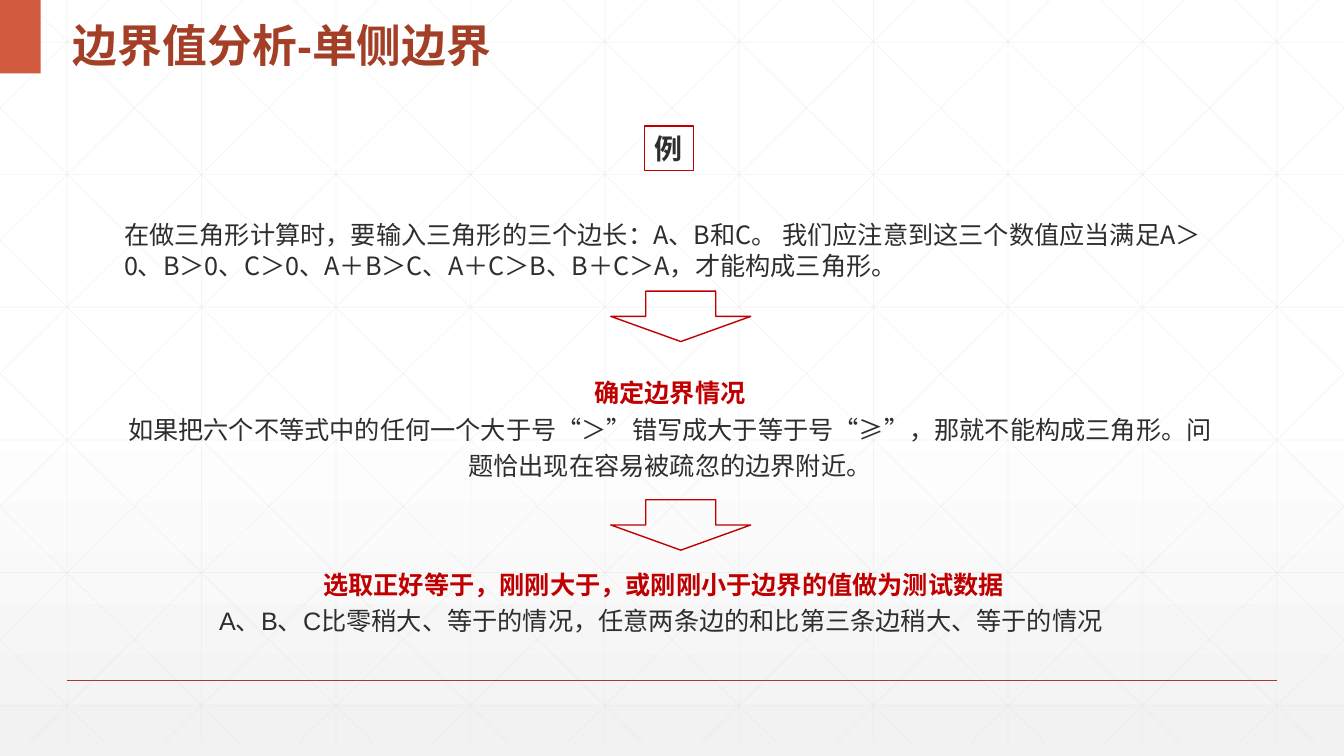
import pptx
import pptx.dml.color
import pptx.enum.shapes
import pptx.enum.text
import pptx.oxml
import pptx.oxml.ns
import pptx.util
from dataclasses import dataclass

Pt = pptx.util.Pt
SHAPES = pptx.enum.shapes.MSO_SHAPE
ANCHOR = pptx.enum.text.MSO_ANCHOR
ALIGN = pptx.enum.text.PP_ALIGN
NS = pptx.oxml.ns.nsdecls("a")
WIDTH, HEIGHT = 960, 540


@dataclass(frozen=True)
class Theme:
    brick: str = "A43F27"
    tab: str = "D15A3E"
    red: str = "C00000"
    ink: str = "2D2E2D"
    grid: str = "D9D9D9"
    paper: str = "FFFFFF"
    paper_end: str = "F2F2F2"
    latin: str = "Arial"
    chinese: str = "Noto Sans CJK SC"
    title: int = 32
    badge: int = 20
    body: int = 18


def rgb(value):
    return pptx.dml.color.RGBColor.from_string(value)


def apply(target, values):
    for name, value in values.items():
        setattr(target, name, value)


class Page:
    def __init__(self, slide, theme):
        self.slide, self.theme = slide, theme

    def background(self):
        fill = self.slide.background.fill
        fill.gradient()
        fill.gradient_angle = 270
        stops = ((0.53, self.theme.paper), (1, self.theme.paper_end))
        for stop, (position, color) in zip(fill.gradient_stops, stops):
            stop.position = position
            stop.color.rgb = rgb(color)

    def line(self, start, end, color, width, opacity=100):
        connector = self.slide.shapes.add_connector(
            pptx.enum.shapes.MSO_CONNECTOR.STRAIGHT,
            *(Pt(value) for value in (*start, *end)))
        connector.line.color.rgb = rgb(color)
        connector.line.width = Pt(width)
        properties = connector._element.spPr
        if opacity < 100:
            tint = properties.find(".//" + pptx.oxml.ns.qn("a:srgbClr"))
            tint.append(pptx.oxml.parse_xml(f'<a:alpha {NS} val="{opacity * 1000}"/>'))
        properties.append(pptx.oxml.parse_xml(f"<a:effectLst {NS}/>"))

    def shape(self, kind, box, fill=None, outline=None, width=1):
        shape = self.slide.shapes.add_shape(kind, *(Pt(value) for value in box))
        shape.shadow.inherit = False
        if fill:
            shape.fill.solid()
            shape.fill.fore_color.rgb = rgb(fill)
        else:
            shape.fill.background()
        if outline:
            shape.line.color.rgb = rgb(outline)
            shape.line.width = Pt(width)
        else:
            shape.line.fill.background()
        return shape

    def fill_text(self, frame, paragraphs, size, spacing, align=ALIGN.LEFT,
                  anchor=ANCHOR.TOP, wrap=True):
        """Fill a text frame from (text, color, bold, latin font) rows."""
        apply(frame, {"word_wrap": wrap, "vertical_anchor": anchor})
        for index, (text, color, bold, latin) in enumerate(paragraphs):
            paragraph = frame.add_paragraph() if index else frame.paragraphs[0]
            apply(paragraph, {"alignment": align, "line_spacing": spacing})
            run = paragraph.add_run()
            run.text = text
            run.font.color.rgb = rgb(color)
            apply(run.font, {"size": Pt(size), "bold": bold, "name": latin})
            run._r.get_or_add_rPr().append(pptx.oxml.parse_xml(
                f'<a:ea {NS} typeface="{self.theme.chinese}"/>'))

    def text(self, box, paragraphs, size, spacing, **layout):
        textbox = self.slide.shapes.add_textbox(*(Pt(value) for value in box))
        self.fill_text(textbox.text_frame, paragraphs, size, spacing, **layout)

    def grid(self):
        """Draw the faint square grid and its two families of diagonals."""
        step, row_step, bottom, run = 96, 94.75, 530.6, 536.8
        faint = (self.theme.grid, 0.5, 25)
        for column in range(10):
            x = 48 + step * column
            self.line((x, 0), (x, bottom), *faint)
        for row in range(6):
            y = 30 + row_step * row
            self.line((0, y), (WIDTH, y), *faint)
        for diagonal in range(-5, 10):
            origin = 18 + step * diagonal
            left, right = max(origin, 0), min(origin + run, WIDTH)
            top, low = ((x - origin) * bottom / run for x in (left, right))
            self.line((left, top), (right, low), *faint)
            self.line((WIDTH - left, top), (WIDTH - right, low), *faint)


def main():
    deck = pptx.Presentation()
    apply(deck, {"slide_width": Pt(WIDTH), "slide_height": Pt(HEIGHT)})
    theme = Theme()
    page = Page(deck.slides.add_slide(deck.slide_layouts[6]), theme)

    page.background()
    page.grid()
    page.line((48, 486), (912, 486), theme.brick, 1)
    page.shape(SHAPES.RECTANGLE, (0, 0, 29, 52.5), fill=theme.tab)
    page.text((45, 0, 410, 52.5),
              [("边界值分析-单侧边界", theme.brick, True, theme.latin)],
              theme.title, 1.3, anchor=ANCHOR.MIDDLE)

    example = page.shape(SHAPES.RECTANGLE, (460.5, 90, 34.6, 31.5),
                         outline=theme.red, width=0.75)
    page.fill_text(example.text_frame, [("例", theme.ink, True, theme.chinese)],
                   theme.badge, Pt(24), align=ALIGN.CENTER,
                   anchor=ANCHOR.MIDDLE, wrap=False)

    page.text((81.5, 152.6, 794, 51),
              [("在做三角形计算时，要输入三角形的三个边长：A、B和C。 我们应注意到这三个数值应当满足"
                "A＞0、B＞0、C＞0、A＋B＞C、A＋C＞B、B＋C＞A，才能构成三角形。",
                theme.ink, False, theme.chinese)],
              theme.body, Pt(22))

    steps = [
        ((81.5, 261.4, 794, 86), "确定边界情况",
         "如果把六个不等式中的任何一个大于号“＞”错写成大于等于号“≥”，那就不能构成三角形。"
         "问题恰出现在容易被疏忽的边界附近。", theme.chinese),
        ((81.5, 398.2, 785, 60), "选取正好等于，刚刚大于，或刚刚小于边界的值做为测试数据",
         "A、B、C比零稍大、等于的情况，任意两条边的和比第三条边稍大、等于的情况 ", theme.latin),
    ]
    for box, heading, detail, latin in steps:
        page.text(box, [(heading, theme.red, True, theme.chinese),
                        (detail, theme.ink, False, latin)],
                  theme.body, Pt(26.2), align=ALIGN.CENTER)
    for arrow_top in (208, 357):
        page.shape(SHAPES.DOWN_ARROW, (436.3, arrow_top, 100, 36), outline=theme.red)

    deck.save("out.pptx")


if __name__ == "__main__":
    main()
